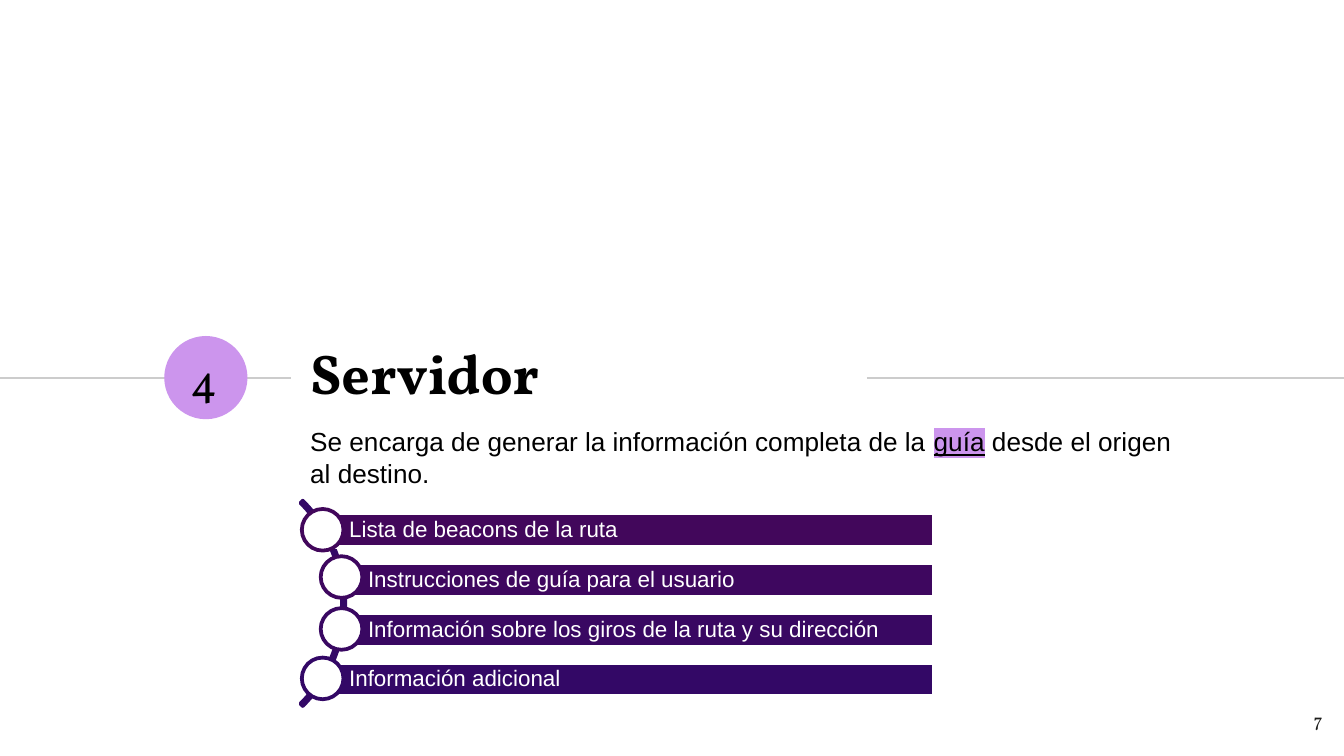
from lxml.etree import SubElement
from pptx import Presentation
from pptx.dml.color import RGBColor
from pptx.enum.shapes import MSO_CONNECTOR, MSO_SHAPE
from pptx.enum.text import MSO_ANCHOR, PP_ALIGN
from pptx.oxml import parse_xml
from pptx.oxml.ns import nsdecls, qn
from pptx.util import Pt

BLACK = RGBColor(0x00, 0x00, 0x00)
WHITE = RGBColor(0xFF, 0xFF, 0xFF)
INK = RGBColor(0x1D, 0x1D, 0x1B)
GREY = RGBColor(0xCC, 0xCC, 0xCC)
LILAC = RGBColor(0xCC, 0x95, 0xED)
INDIGO = RGBColor(0x33, 0x08, 0x66)


def add_outlined(kind, left, top, width, height, fill, line):
    """Add a preset shape; None for fill or line leaves that part out."""
    shape = slide.shapes.add_shape(kind, Pt(left), Pt(top), Pt(width), Pt(height))
    shape.shadow.inherit = False
    for part, color in ((shape.fill, fill), (shape.line.fill, line)):
        if color is None:
            part.background()
        else:
            part.solid()
            part.fore_color.rgb = color
    if line is not None:
        shape.line.width = Pt(2)
    return shape


def style_run(run, font, size, color, bold=False):
    run.font.name = font
    run.font.size = Pt(size)
    run.font.color.rgb = color
    run.font.bold = bold


prs = Presentation()
prs.slide_width, prs.slide_height = Pt(720), Pt(405)
slide = prs.slides.add_slide(prs.slide_layouts[6])

# Divider line, interrupted by the title, and the number's disc
for start, end in ((0, 155.7), (464.4, 720)):
    divider = slide.shapes.add_connector(
        MSO_CONNECTOR.STRAIGHT, Pt(start), Pt(202.5), Pt(end), Pt(202.5))
    divider.line.color.rgb = GREY
    divider.line.width = Pt(0.75)
    SubElement(divider._element.spPr, qn("a:effectLst"))
add_outlined(MSO_SHAPE.OVAL, 88, 180, 44.6, 44.6, LILAC, None)

# Title, page number and section number
headings = [
    ("Servidor", 159.1, 133.2, 298, 91.4, 30, BLACK, True, MSO_ANCHOR.BOTTOM, PP_ALIGN.LEFT),
    ("7", 672.5, 373.7, 43.2, 31, 10, INK, False, MSO_ANCHOR.TOP, PP_ALIGN.RIGHT),
    ("4", 79.2, 180.7, 59.8, 43.9, 24, BLACK, False, MSO_ANCHOR.MIDDLE, PP_ALIGN.CENTER),
]
for text, left, top, width, height, size, color, bold, anchor, align in headings:
    frame = slide.shapes.add_textbox(Pt(left), Pt(top), Pt(width), Pt(height)).text_frame
    frame.word_wrap = True
    frame.margin_top = frame.margin_bottom = Pt(7.2)
    frame.vertical_anchor = anchor
    frame.text = text
    frame.paragraphs[0].alignment = align
    style_run(frame.paragraphs[0].runs[0], "Vollkorn", size, color, bold)

# Curved list: arc, then a bar and a knob for each item
arc = add_outlined(MSO_SHAPE.BLOCK_ARC, 29.5, 245.5, 155.5, 155.5, None, INDIGO)
for index, value in enumerate((189, 27, 0.011)):
    arc.adjustments[index] = value

BAR_TOP, BAR_PITCH, BAR_HEIGHT, BAR_RIGHT = 275, 26.7, 18, 500.4
KNOB = 22.3
items = [
    ("Lista de beacons de la ruta", RGBColor(0x42, 0x07, 0x5B), 161.7, 272.7),
    ("Instrucciones de guía para el usuario", RGBColor(0x3E, 0x07, 0x5F), 171.8, 298),
    ("Información sobre los giros de la ruta y su dirección",
     RGBColor(0x39, 0x08, 0x62), 171.8, 325.8),
    ("Información adicional", INDIGO, 161.7, 352.3),
]
for index, (text, color, knob_left, knob_top) in enumerate(items):
    bar_left = knob_left + KNOB / 2
    bar = add_outlined(MSO_SHAPE.RECTANGLE, bar_left, BAR_TOP + index * BAR_PITCH,
                       BAR_RIGHT - bar_left, BAR_HEIGHT, color, WHITE)
    frame = bar.text_frame
    frame.margin_left = Pt(14.2)
    frame.margin_top = frame.margin_right = frame.margin_bottom = Pt(2.4)
    frame.vertical_anchor = MSO_ANCHOR.MIDDLE
    frame.text = text
    frame.paragraphs[0].alignment = PP_ALIGN.LEFT
    frame.paragraphs[0].line_spacing = 0.9
    style_run(frame.paragraphs[0].runs[0], "Arial", 12, WHITE)
    add_outlined(MSO_SHAPE.OVAL, knob_left, knob_top, KNOB, KNOB, WHITE, color)

# Description with one highlighted word
description = slide.shapes.add_textbox(Pt(159.1), Pt(224.6), Pt(476), Pt(58.3)).text_frame
description.word_wrap = True
for text in ("Se encarga de generar la información completa de la ",
             "guía", " desde el origen al destino."):
    run = description.paragraphs[0].add_run()
    run.text = text
    style_run(run, "Arial", 14, BLACK)
keyword = description.paragraphs[0].runs[1]
keyword.font.underline = True
highlight = parse_xml(
    f'<a:highlight {nsdecls("a")}><a:srgbClr val="{LILAC}"/></a:highlight>')
keyword.font._element.find(qn("a:solidFill")).addnext(highlight)

prs.save("out.pptx")
